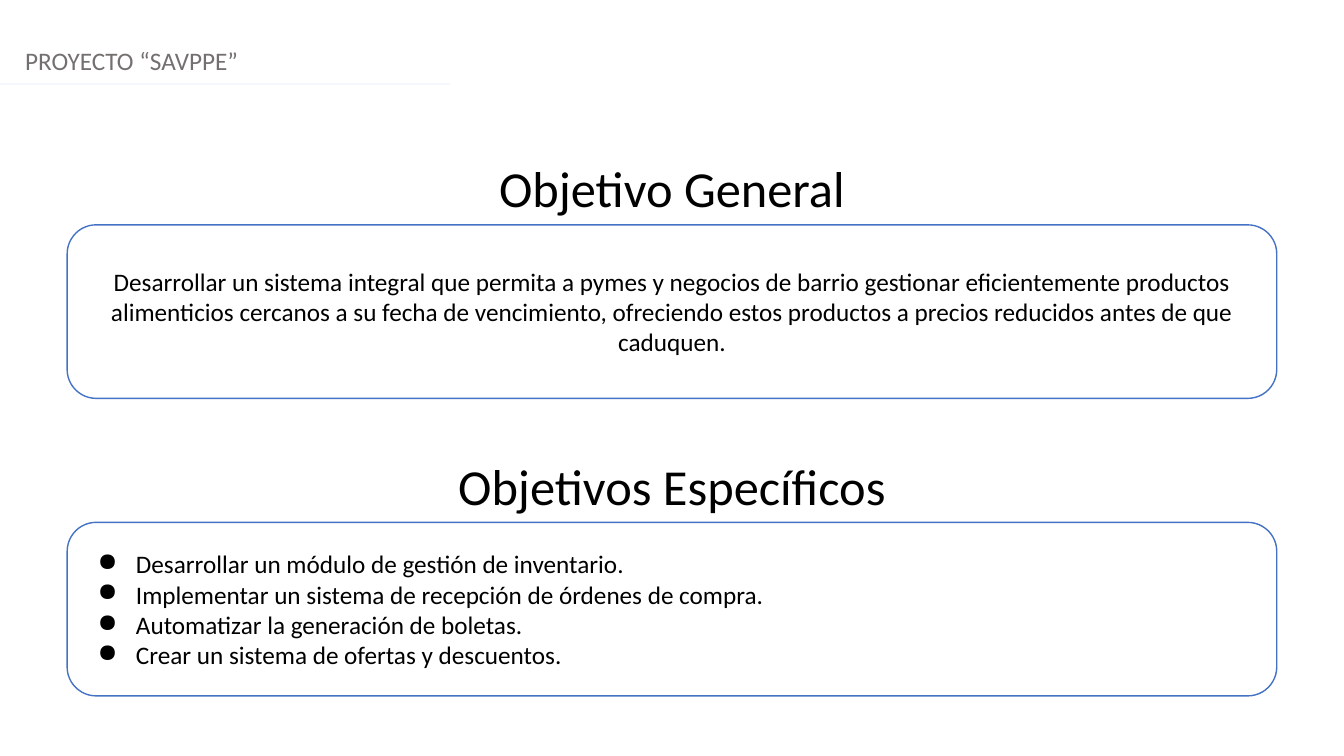
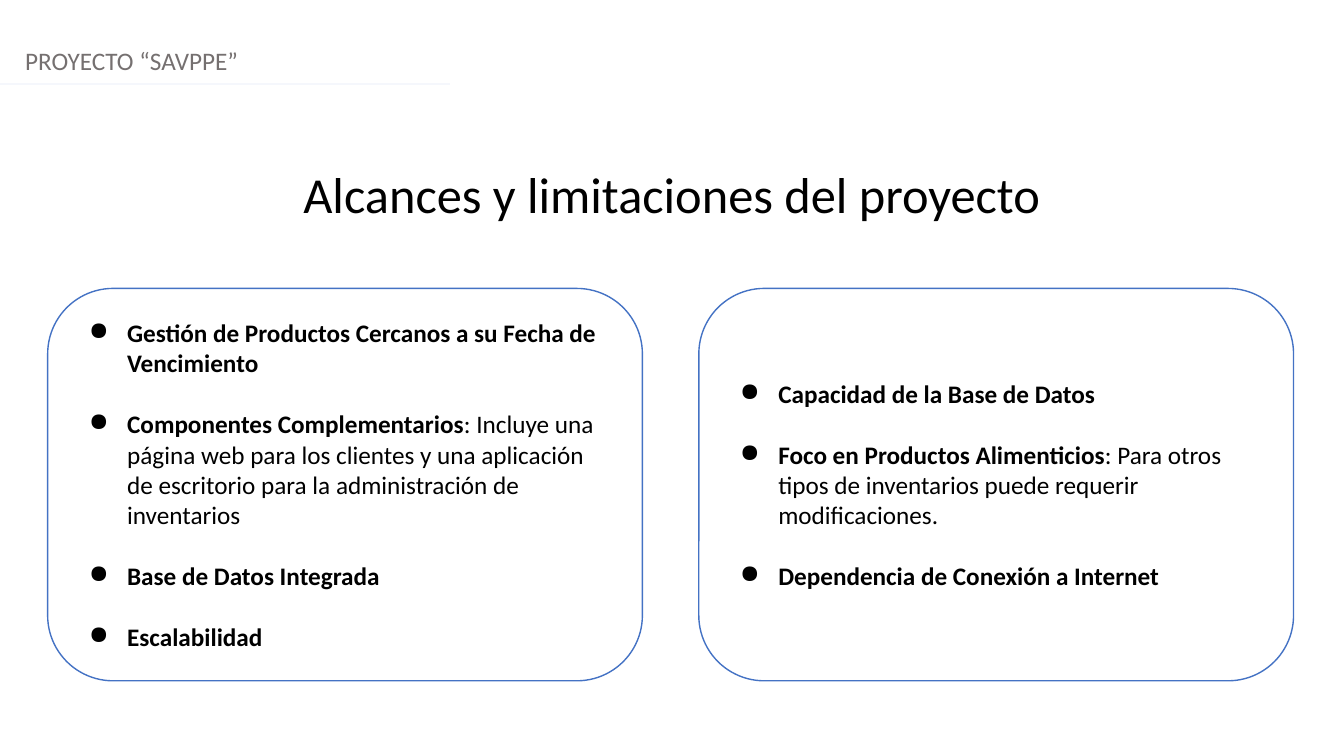
from dataclasses import dataclass

from lxml import etree
from pptx import Presentation
from pptx.dml.color import RGBColor
from pptx.enum.shapes import MSO_CONNECTOR, MSO_SHAPE
from pptx.enum.text import MSO_ANCHOR, MSO_AUTO_SIZE, PP_ALIGN
from pptx.oxml.ns import qn
from pptx.util import Inches, Pt

LEFT, MID = PP_ALIGN.LEFT, PP_ALIGN.CENTER
CENTER = MSO_ANCHOR.MIDDLE
GROW = MSO_AUTO_SIZE.SHAPE_TO_FIT_TEXT
ROUND = MSO_SHAPE.ROUNDED_RECTANGLE
STRAIGHT = MSO_CONNECTOR.STRAIGHT

WIDE, HIGH = Inches(13.33), Inches(7.5)
FONT = "Calibri"
BLACK, GREY, WHITE = "000000", "757070", "FFFFFF"
BLUE, PALE = "4472C4", "F5F7FC"
BODY, TITLE = 18, 36
HEAD = "PROYECTO “SAVPPE”"


@dataclass(frozen=True)
class Box:
    x: float
    y: float
    w: float
    h: float

    def place(self) -> tuple[int, int, int, int]:
        return across(self.x), down(self.y), across(self.w), down(self.h)


@dataclass(frozen=True)
class Run:
    text: str
    bold: bool = False


@dataclass(frozen=True)
class Panel:
    box: Box
    items: list[list[Run]]
    dots: bool = True
    gap: float = 0


def across(share: float) -> int:
    return round(WIDE * share / 100)


def down(share: float) -> int:
    return round(HIGH * share / 100)


def color(code: str) -> RGBColor:
    return RGBColor.from_string(code)


def write(para, runs: list[Run], size: int = BODY, tint: str = BLACK) -> None:
    for part in runs:
        run = para.add_run()
        run.text = part.text
        font = run.font
        font.name, font.size, font.bold = FONT, Pt(size), part.bold
        font.color.rgb = color(tint)


def bullet(para) -> None:
    props = para._p.get_or_add_pPr()
    props.set("marL", str(Inches(0.5)))
    props.set("indent", str(Inches(-0.38)))
    tint = etree.SubElement(props, qn("a:buClr"))
    etree.SubElement(tint, qn("a:srgbClr"), val=BLACK)
    etree.SubElement(props, qn("a:buChar"), char="●")


def label(slide, box: Box, text: str, size: int, tint: str, align) -> None:
    frame = slide.shapes.add_textbox(*box.place()).text_frame
    frame.word_wrap = True
    frame.auto_size = GROW
    para = frame.paragraphs[0]
    para.alignment = align
    write(para, [Run(text)], size, tint)


def title(slide, y: float, text: str) -> None:
    label(slide, Box(0, y, 100, 9.45), text, TITLE, BLACK, MID)


def panel(slide, data: Panel) -> None:
    shape = slide.shapes.add_shape(ROUND, *data.box.place())
    shape.shadow.inherit = False
    shape.fill.solid()
    shape.fill.fore_color.rgb = color(WHITE)
    shape.line.color.rgb = color(BLUE)
    shape.line.width = Pt(1)
    frame = shape.text_frame
    frame.word_wrap = True
    frame.vertical_anchor = CENTER
    for rank, runs in enumerate(data.items):
        para = frame.add_paragraph() if rank else frame.paragraphs[0]
        para.alignment = LEFT if data.dots else MID
        if rank:
            para.space_before = Pt(data.gap)
        if data.dots:
            bullet(para)
        write(para, runs)


def page(deck):
    slide = deck.slides.add_slide(deck.slide_layouts[6])
    label(slide, Box(1.13, 5.33, 50, 5.33), HEAD, BODY, GREY, LEFT)
    y = down(11.07)
    rule = slide.shapes.add_connector(STRAIGHT, 0, y, across(33.5), y)
    rule.line.color.rgb = color(PALE)
    rule.line.width = Pt(1.25)
    etree.SubElement(rule._element.spPr, qn("a:effectLst"))
    return slide


def goals(deck) -> None:
    slide = page(deck)
    main = [[Run(
        "Desarrollar un sistema integral que permita a pymes y negocios de "
        "barrio gestionar eficientemente productos alimenticios cercanos a su "
        "fecha de vencimiento, ofreciendo estos productos a precios reducidos "
        "antes de que caduquen."
    )]]
    steps = [[Run(text)] for text in (
        "Desarrollar un módulo de gestión de inventario.",
        "Implementar un sistema de recepción de órdenes de compra.",
        "Automatizar la generación de boletas.",
        "Crear un sistema de ofertas y descuentos.",
    )]
    rows = (
        ("Objetivo General", main, False),
        ("Objetivos Específicos", steps, True),
    )
    for rank, (text, items, dots) in enumerate(rows):
        y = 20.15 + 39.35 * rank
        title(slide, y, text)
        panel(slide, Panel(Box(5, y + 9.6, 90, 22.95), items, dots))


def scope(deck) -> None:
    slide = page(deck)
    title(slide, 20.95, "Alcances y limitaciones del proyecto")
    reach = [
        [Run("Gestión de Productos Cercanos a su Fecha de Vencimiento", True)],
        [
            Run("Componentes Complementarios", True),
            Run(": Incluye una página web para los clientes y una aplicación "
                "de escritorio para la administración de inventarios"),
        ],
        [Run("Base de Datos Integrada", True)],
        [Run("Escalabilidad", True)],
    ]
    limits = [
        [Run("Capacidad de la Base de Datos", True)],
        [
            Run("Foco en Productos Alimenticios", True),
            Run(": Para otros tipos de inventarios puede requerir "
                "modificaciones."),
        ],
        [Run("Dependencia de Conexión a Internet", True)],
    ]
    for rank, items in enumerate((reach, limits)):
        box = Box(3.55 + 48.45 * rank, 38.15, 44.25, 51.9)
        panel(slide, Panel(box, items, gap=22))


def main() -> None:
    deck = Presentation()
    deck.slide_width, deck.slide_height = WIDE, HIGH
    goals(deck)
    scope(deck)
    deck.save("out.pptx")


if __name__ == "__main__":
    main()
